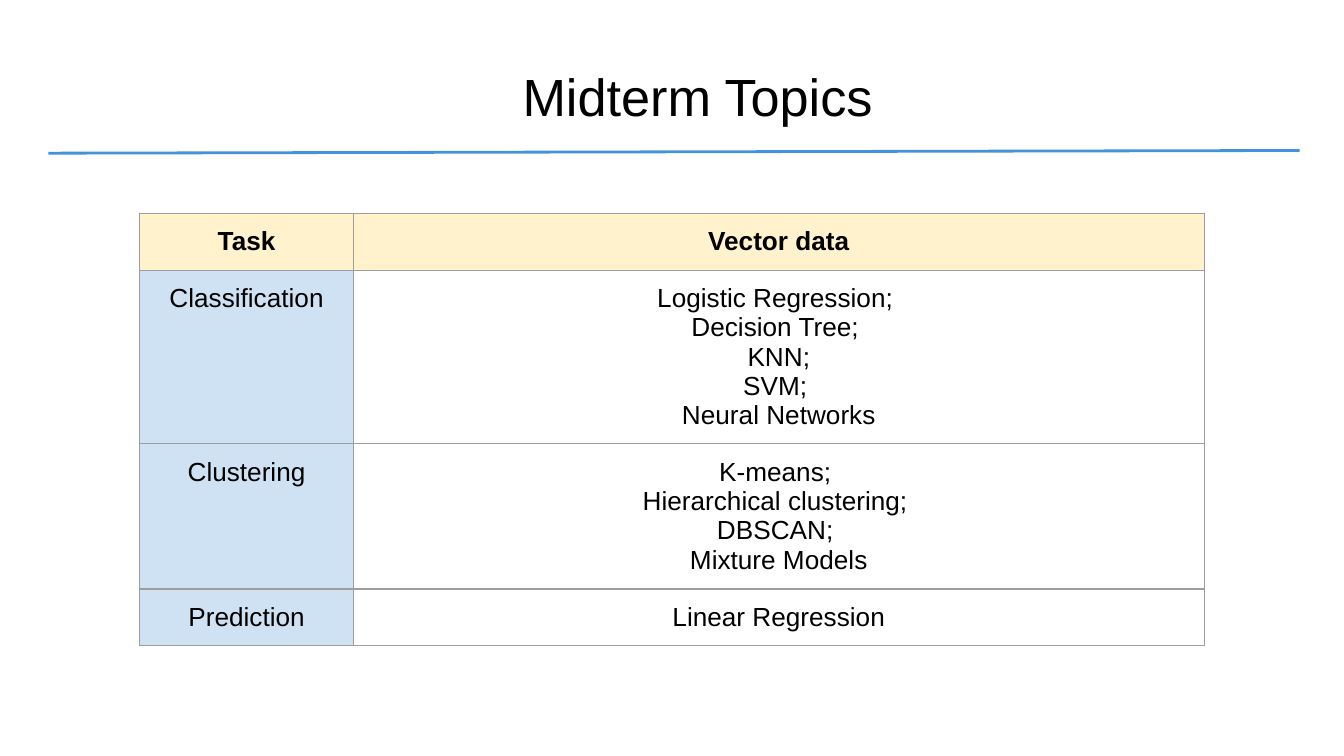
"""Build the Midterm Topics slide: a title, a rule and a table of methods by task."""
from dataclasses import dataclass
from typing import Optional

from lxml.etree import SubElement
from pptx import Presentation
from pptx.dml.color import RGBColor as Rgb
from pptx.enum.shapes import MSO_CONNECTOR as Connector
from pptx.enum.text import MSO_ANCHOR as Anchor, MSO_AUTO_SIZE as AutoSize, PP_ALIGN as Align
from pptx.oxml.ns import qn
from pptx.util import Inches, Pt

COLORS = {
    "text": "000000",
    "rule": "4393DB",
    "border": "9E9E9E",
    "header": "FFF2CC",
    "task": "CFE2F3",
}
FONT = "Arial"
SLIDE_WIDTH = 10
SLIDE_HEIGHT = SLIDE_WIDTH * 9 / 16
COLUMN_WIDTHS = (1.59, 6.33)


@dataclass(frozen=True)
class TopicRow:
    task: str
    methods: tuple[str, ...]
    height: float
    is_header: bool = False


TOPICS = (
    TopicRow("Task", ("Vector data",), 0.42, is_header=True),
    TopicRow(
        "Classification",
        ("Logistic Regression; ", "Decision Tree; ", "KNN;\vSVM; ", "Neural Networks"),
        1.29,
    ),
    TopicRow(
        "Clustering",
        ("K-means; ", "Hierarchical clustering; ", "DBSCAN; ", "Mixture Models"),
        1.08,
    ),
    TopicRow("Prediction", ("Linear Regression",), 0.42),
)


def write_text(frame, text: str, *, size: float = 14, bold: bool = False) -> None:
    """Fill a text frame with centred paragraphs, one per line of text."""
    frame.text = text
    for paragraph in frame.paragraphs:
        paragraph.alignment = Align.CENTER
        for line_break in paragraph._p.findall(qn("a:br")):
            SubElement(line_break, qn("a:rPr"), sz=str(round(size * 100)))
        for run in paragraph.runs:
            run.font.name = FONT
            run.font.size = Pt(size)
            run.font.bold = bold
            run.font.color.rgb = Rgb.from_string(COLORS["text"])


def set_margins(holder) -> None:
    """Give a text frame or cell equal margins."""
    holder.margin_left = holder.margin_right = Inches(0.1)
    holder.margin_top = holder.margin_bottom = Inches(0.1)


def add_borders(cell) -> None:
    """Outline a cell on all four sides."""
    properties = cell._tc.get_or_add_tcPr()
    for position, side in enumerate(("a:lnL", "a:lnR", "a:lnT", "a:lnB")):
        line = SubElement(properties, qn(side), w=str(Pt(0.75)))
        fill = SubElement(line, qn("a:solidFill"))
        SubElement(fill, qn("a:srgbClr"), val=COLORS["border"])
        properties.insert(position, line)


def style_cell(cell, text: str, fill: Optional[str], bold: bool) -> None:
    """Write one table cell with its fill and borders."""
    write_text(cell.text_frame, text, bold=bold)
    set_margins(cell)
    if fill:
        cell.fill.solid()
        cell.fill.fore_color.rgb = Rgb.from_string(fill)
    else:
        cell.fill.background()
    add_borders(cell)


def add_title(slide) -> None:
    """Place and format the slide title."""
    title = slide.shapes.title
    title.left, title.top = Inches(1.53), Inches(0.38)
    title.width, title.height = Inches(7.32), Inches(0.63)
    write_text(title.text_frame, "Midterm Topics", size=28)
    set_margins(title.text_frame)
    title.text_frame.word_wrap = True
    title.text_frame.auto_size = AutoSize.NONE
    title.text_frame.vertical_anchor = Anchor.TOP


def add_rule(slide) -> None:
    """Draw the rule under the title."""
    rule = slide.shapes.add_connector(
        Connector.STRAIGHT, Inches(0.36), Inches(1.14), Inches(9.67), Inches(1.12)
    )
    rule.line.color.rgb = Rgb.from_string(COLORS["rule"])
    rule.line.width = Pt(1.5)
    SubElement(rule._element.spPr, qn("a:effectLst"))


def add_topics(slide, topics: tuple[TopicRow, ...]) -> None:
    """Draw the table of methods by task."""
    table = slide.shapes.add_table(
        len(topics), len(COLUMN_WIDTHS), Inches(1.04), Inches(1.59),
        Inches(sum(COLUMN_WIDTHS)), Inches(sum(topic.height for topic in topics)),
    ).table
    table.first_row = table.horz_banding = False
    for column, width in zip(table.columns, COLUMN_WIDTHS):
        column.width = Inches(width)
    for row, topic in zip(table.rows, topics):
        row.height = Inches(topic.height)
        header_fill = COLORS["header"] if topic.is_header else None
        task_cell, methods_cell = row.cells
        style_cell(task_cell, topic.task, header_fill or COLORS["task"], topic.is_header)
        style_cell(methods_cell, "\n".join(topic.methods), header_fill, topic.is_header)


def main() -> None:
    """Build and save the slide."""
    deck = Presentation()
    deck.slide_width, deck.slide_height = Inches(SLIDE_WIDTH), Inches(SLIDE_HEIGHT)
    slide = deck.slides.add_slide(deck.slide_layouts[5])
    add_title(slide)
    add_rule(slide)
    add_topics(slide, TOPICS)
    deck.save("out.pptx")


if __name__ == "__main__":
    main()
